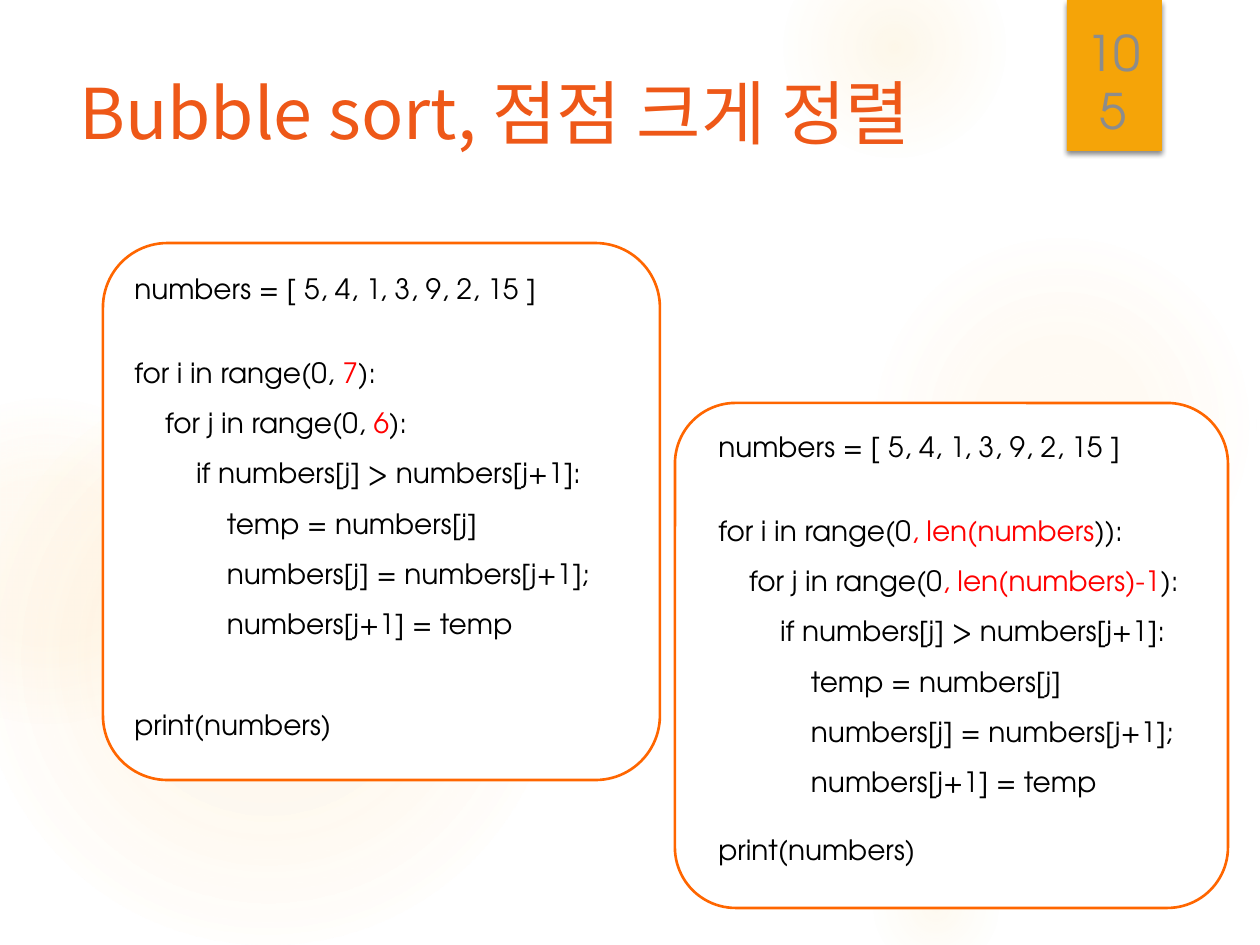
from dataclasses import dataclass

from lxml.etree import SubElement
from pptx import Presentation
from pptx.dml.color import RGBColor
from pptx.enum.shapes import MSO_SHAPE as Preset
from pptx.enum.text import MSO_ANCHOR as Anchor, PP_ALIGN as Align
from pptx.oxml.ns import qn
from pptx.util import Pt

EMU_PER_PX = 914400 / 126
CODE_FONT = "TeX Gyre Adventor"
TITLE_FONT = "Noto Sans CJK KR"
WHITE = RGBColor(0xFF, 0xFF, 0xFF)
BLACK = RGBColor(0x00, 0x00, 0x00)
RED = RGBColor(0xFF, 0x00, 0x00)
GREY = RGBColor(0x8C, 0x8C, 0x8C)
GLOW = RGBColor(0xFA, 0xC9, 0x6A)
AMBER = RGBColor(0xF5, 0xA4, 0x08)
BORDER = RGBColor(0xFF, 0x66, 0x00)
TITLE_COLOR = RGBColor(0xEE, 0x58, 0x18)
LINE_HEIGHT = 19.2


@dataclass(frozen=True)
class Area:
    left: int
    top: int
    width: int
    height: int


@dataclass(frozen=True)
class Glow:
    left: int
    top: int
    size: int
    stops: tuple[tuple[int, int], ...]


@dataclass(frozen=True)
class Span:
    text: str
    color: RGBColor = BLACK


@dataclass(frozen=True)
class CodeLine:
    spans: tuple[Span, ...]
    spacing: float = 1.5
    before: float = 0


@dataclass(frozen=True)
class CodePanel:
    frame: Area
    text: Area
    lines: tuple[CodeLine, ...]


def px(length: int) -> int:
    return round(length * EMU_PER_PX)


def place(area: Area) -> tuple[int, ...]:
    return px(area.left), px(area.top), px(area.width), px(area.height)


def add_plain_shape(page, preset: Preset, area: Area):
    shape = page.shapes.add_shape(preset, *place(area))
    shape.shadow.inherit = False
    shape.line.fill.background()
    return shape


def add_color(parent, color: RGBColor, alpha: int) -> None:
    node = SubElement(parent, qn("a:srgbClr"), val=str(color))
    SubElement(node, qn("a:alpha"), val=str(alpha * 1000))


def add_glow(page, glow: Glow) -> None:
    shape = add_plain_shape(page, Preset.OVAL, Area(glow.left, glow.top, glow.size, glow.size))
    shape.fill.gradient()
    gradient = shape._element.spPr.find(qn("a:gradFill"))
    for child in list(gradient):
        gradient.remove(child)
    stop_list = SubElement(gradient, qn("a:gsLst"))
    for position, alpha in glow.stops:
        stop = SubElement(stop_list, qn("a:gs"), pos=str(position * 1000))
        add_color(stop, GLOW, alpha)
    circle = SubElement(gradient, qn("a:path"), path="circle")
    SubElement(circle, qn("a:fillToRect"), l="50000", t="50000", r="50000", b="50000")


def add_ribbon(page, area: Area) -> None:
    ribbon = add_plain_shape(page, Preset.RECTANGLE, area)
    ribbon.fill.solid()
    ribbon.fill.fore_color.rgb = AMBER
    effects = ribbon._element.spPr.find(qn("a:effectLst"))
    shadow = SubElement(effects, qn("a:outerShdw"), blurRad=str(Pt(3)), dist=str(Pt(2)),
                        dir="5400000", rotWithShape="0")
    add_color(shadow, BLACK, 45)


def add_text_frame(page, area: Area):
    frame = page.shapes.add_textbox(*place(area)).text_frame
    frame.word_wrap = True
    return frame


def add_label(page, area: Area, text: str, size: int, font: str, color: RGBColor,
              align: Align = Align.LEFT, anchor: Anchor = Anchor.TOP) -> None:
    frame = add_text_frame(page, area)
    frame.vertical_anchor = anchor
    para = frame.paragraphs[0]
    para.text = text
    para.alignment = align
    para.font.size = Pt(size)
    para.font.name = font
    para.font.color.rgb = color


def add_code_panel(page, panel: CodePanel) -> None:
    box = add_plain_shape(page, Preset.ROUNDED_RECTANGLE, panel.frame)
    box.adjustments[0] = 0.12
    box.fill.solid()
    box.fill.fore_color.rgb = WHITE
    box.line.color.rgb = BORDER
    box.line.width = Pt(1.5)
    frame = add_text_frame(page, panel.text)
    for index, line in enumerate(panel.lines):
        para = frame.add_paragraph() if index else frame.paragraphs[0]
        para.line_spacing = line.spacing
        if line.before:
            para.space_before = Pt(line.before)
        para.font.size = Pt(16)
        para.font.name = CODE_FONT
        for span in line.spans:
            run = para.add_run()
            run.text = span.text
            run.font.color.rgb = span.color


def bubble_sort(outer: tuple[Span, ...], inner: tuple[Span, ...],
                print_spacing: float) -> tuple[CodeLine, ...]:
    return (
        CodeLine((Span("numbers = [ 5, 4, 1, 3, 9, 2, 15 ]"),), 1),
        CodeLine((Span("for i in range(0"), *outer), before=LINE_HEIGHT),
        CodeLine((Span("    for j in range(0"), *inner)),
        CodeLine((Span("        if numbers[j] > numbers[j+1]:"),)),
        CodeLine((Span("            temp = numbers[j]"),)),
        CodeLine((Span("            numbers[j] = numbers[j+1];"),)),
        CodeLine((Span("            numbers[j+1] = temp"),)),
        CodeLine((Span("print(numbers)"),), print_spacing, LINE_HEIGHT * print_spacing),
    )


GLOWS = (
    Glow(868, 231, 388, ((0, 7), (36, 6), (69, 0))),
    Glow(784, -63, 221, ((0, 14), (36, 7), (73, 0))),
    Glow(868, 840, 136, ((0, 10), (31, 5), (66, 0))),
    Glow(-21, 368, 577, ((0, 11), (36, 10), (75, 0))),
    Glow(-116, 399, 325, ((0, 8), (36, 8), (72, 0))),
)

PANELS = (
    CodePanel(Area(103, 243, 557, 537), Area(122, 265, 564, 522), bubble_sort(
        (Span(", "), Span("7", RED), Span("):")),
        (Span(", "), Span("6", RED), Span("):")), 1.5)),
    CodePanel(Area(675, 403, 553, 505), Area(706, 423, 564, 538), bubble_sort(
        (Span(", len(numbers", RED), Span(")):")),
        (Span(", len(numbers)-1", RED), Span("):")), 1)),
)


def main() -> None:
    deck = Presentation()
    deck.slide_width, deck.slide_height = px(1260), px(945)
    page = deck.slides.add_slide(deck.slide_layouts[6])
    for glow in GLOWS:
        add_glow(page, glow)
    add_ribbon(page, Area(1067, 0, 95, 151))
    for panel in PANELS:
        add_code_panel(page, panel)
    add_label(page, Area(67, 63, 973, 193), "Bubble sort, 점점 크게 정렬", 40, TITLE_FONT, TITLE_COLOR)
    add_label(page, Area(1070, 40, 87, 106), "105", 28, CODE_FONT, GREY, Align.CENTER, Anchor.BOTTOM)
    deck.save("out.pptx")


if __name__ == "__main__":
    main()
